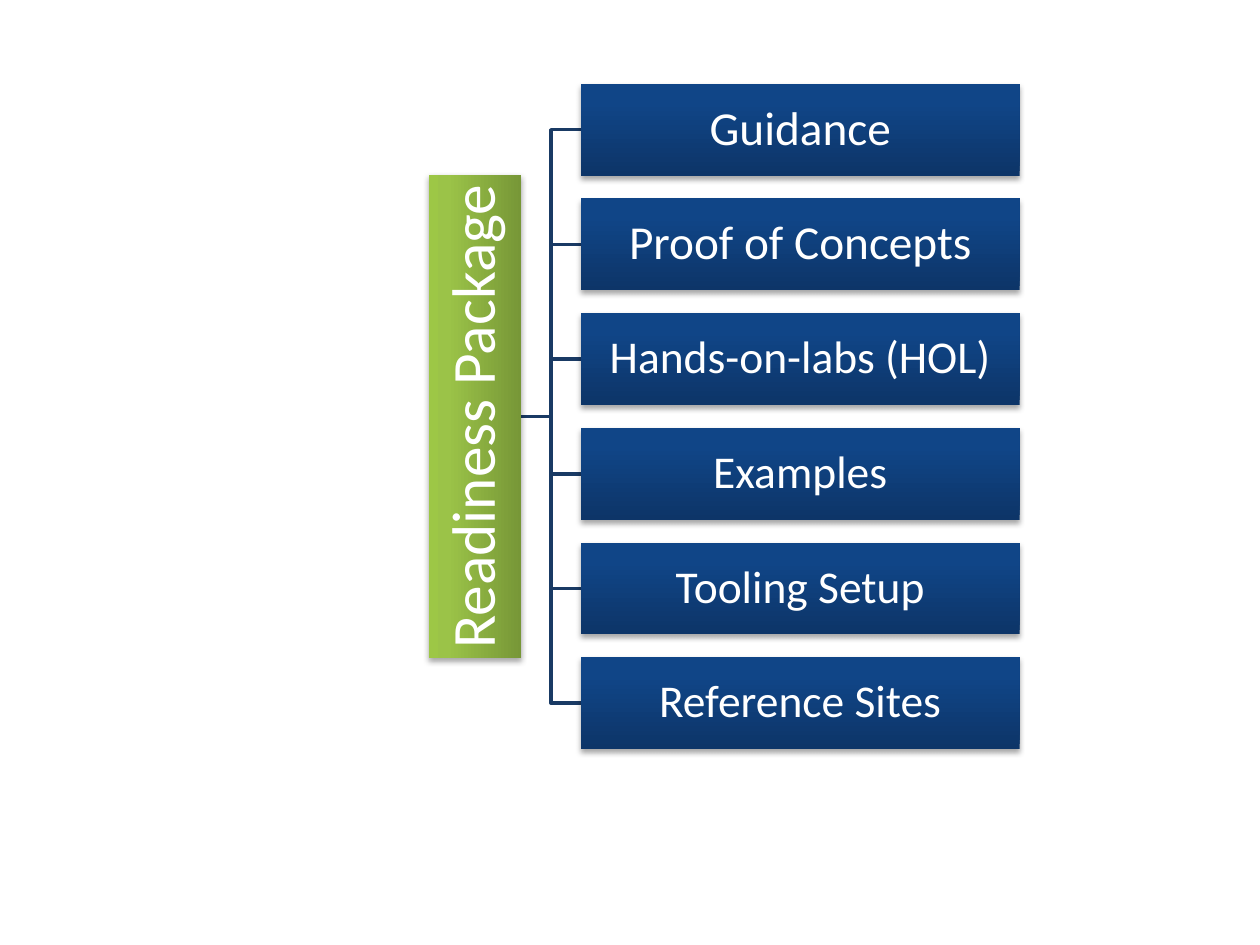
from copy import deepcopy

from pptx import Presentation
from pptx.dml.color import RGBColor
from pptx.enum.shapes import MSO_SHAPE as Preset
from pptx.enum.text import MSO_ANCHOR as Anchor, PP_ALIGN as Align
from pptx.oxml import parse_xml
from pptx.util import Pt

FONT = "Calibri"
LINE_COLOUR = "193A64"
GREEN = [(0, "779737"), (0.8, "9BC348"), (1, "9DC746")]
BLUE = [(0, "0D3568"), (0.8, "104587"), (1, "0E458A")]
SHADOW = (
    '<a:outerShdw xmlns:a="http://schemas.openxmlformats.org/drawingml/2006/main"'
    ' blurRad="39370" dist="22860" dir="5400000" rotWithShape="0">'
    '<a:srgbClr val="000000"><a:alpha val="35000"/></a:srgbClr></a:outerShdw>'
)

# Layout in points
BAR_HEIGHT = 52.5
ROOT_LENGTH, ROOT_X, ROOT_Y = 275.8, 271.5, 238
ROOT_RIGHT = ROOT_X + BAR_HEIGHT / 2
BRANCH_LEFT, BRANCH_WIDTH = 332, 250.6
BRANCH_PITCH = 65.54
BRANCHES = [
    ("Guidance", 27),
    ("Proof of Concepts", 27),
    ("Hands-on-labs (HOL)", 26),
    ("Examples", 26),
    ("Tooling Setup", 26),
    ("Reference Sites", 26),
]


def colour(value):
    return RGBColor.from_string(value)


def set_gradient(shape, stops):
    """Fill from bottom to top with three stops."""
    shape.fill.gradient()
    shape.fill.gradient_angle = 90
    stop_list = shape.fill._fill._gradFill.gsLst
    stop_list.append(deepcopy(stop_list[-1]))
    for stop, (position, value) in zip(shape.fill.gradient_stops, stops):
        stop.position = position
        stop.color.rgb = colour(value)


def set_shadow(shape):
    shape.shadow.inherit = False
    shape._element.spPr.find("{*}effectLst").append(parse_xml(SHADOW))


def add_bar(slide, text, size, centre_x, centre_y, width, stops, rotation=0):
    shape = slide.shapes.add_shape(
        Preset.RECTANGLE,
        Pt(centre_x - width / 2), Pt(centre_y - BAR_HEIGHT / 2),
        Pt(width), Pt(BAR_HEIGHT),
    )
    shape.rotation = rotation
    shape.line.fill.background()
    set_gradient(shape, stops)
    set_shadow(shape)

    frame = shape.text_frame
    frame.word_wrap = True
    frame.vertical_anchor = Anchor.MIDDLE
    frame.margin_left = frame.margin_right = Pt(1.4)
    frame.margin_top = frame.margin_bottom = Pt(1.4)
    paragraph = frame.paragraphs[0]
    paragraph.text = text
    paragraph.alignment = Align.CENTER
    paragraph.line_spacing = 0.9
    paragraph.font.name = FONT
    paragraph.font.size = Pt(size)
    paragraph.font.color.rgb = colour("FFFFFF")


def add_elbow(slide, end_y):
    """Draw the stepped line from the root bar to one branch."""
    middle_x = (ROOT_RIGHT + BRANCH_LEFT) / 2
    builder = slide.shapes.build_freeform(Pt(ROOT_RIGHT), Pt(ROOT_Y))
    corners = [(middle_x, ROOT_Y), (middle_x, end_y), (BRANCH_LEFT, end_y)]
    builder.add_line_segments([(Pt(x), Pt(y)) for x, y in corners], close=False)
    shape = builder.convert_to_shape()
    shape.fill.background()
    shape.line.color.rgb = colour(LINE_COLOUR)
    shape.line.width = Pt(2)
    shape.shadow.inherit = False


def main():
    presentation = Presentation()
    presentation.slide_width, presentation.slide_height = Pt(720), Pt(540)
    slide = presentation.slides.add_slide(presentation.slide_layouts[6])

    # Branches are spread evenly about the root
    middle = (len(BRANCHES) - 1) / 2
    centres = [ROOT_Y + (i - middle) * BRANCH_PITCH for i in range(len(BRANCHES))]

    # Connecting lines, behind the bars
    for centre_y in reversed(centres):
        add_elbow(slide, centre_y)

    # Root and branches
    add_bar(slide, "Readiness Package", 35, ROOT_X, ROOT_Y, ROOT_LENGTH, GREEN, 270)
    branch_x = BRANCH_LEFT + BRANCH_WIDTH / 2
    for (text, size), centre_y in zip(BRANCHES, centres):
        add_bar(slide, text, size, branch_x, centre_y, BRANCH_WIDTH, BLUE)

    presentation.save("out.pptx")


main()
